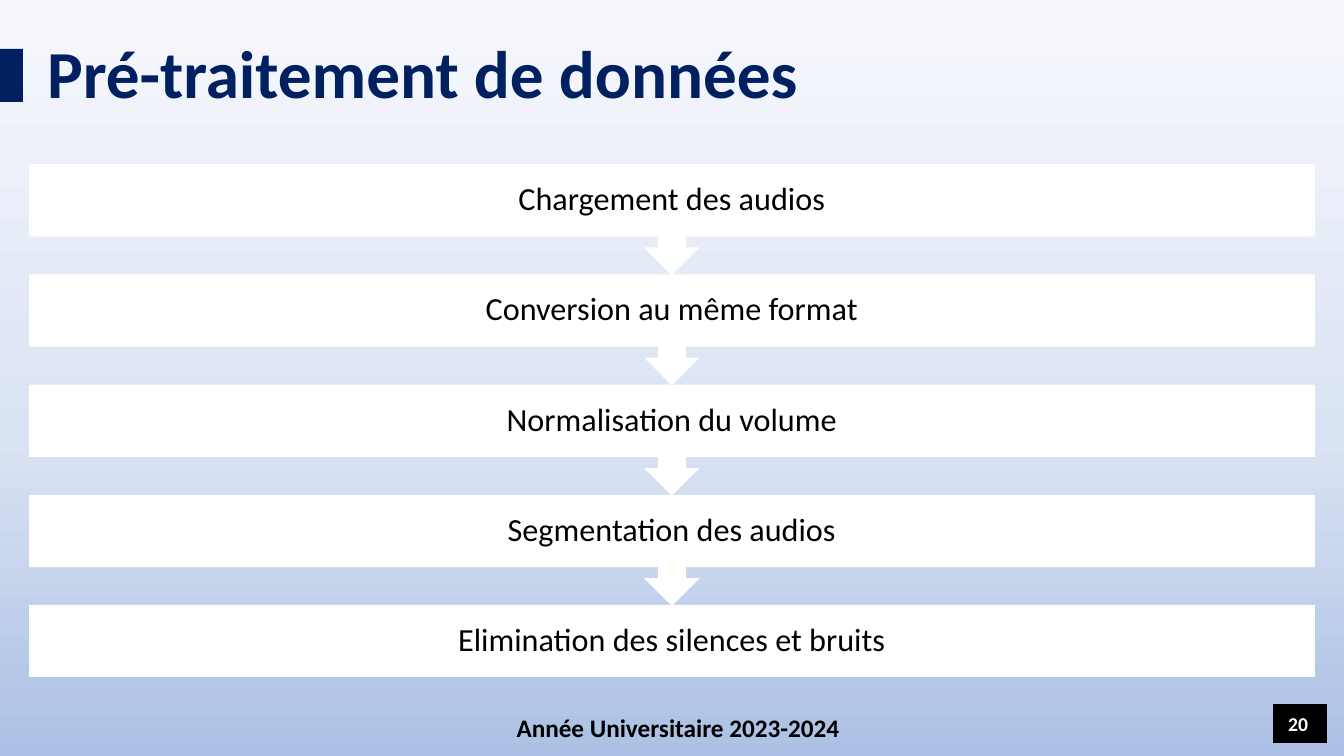
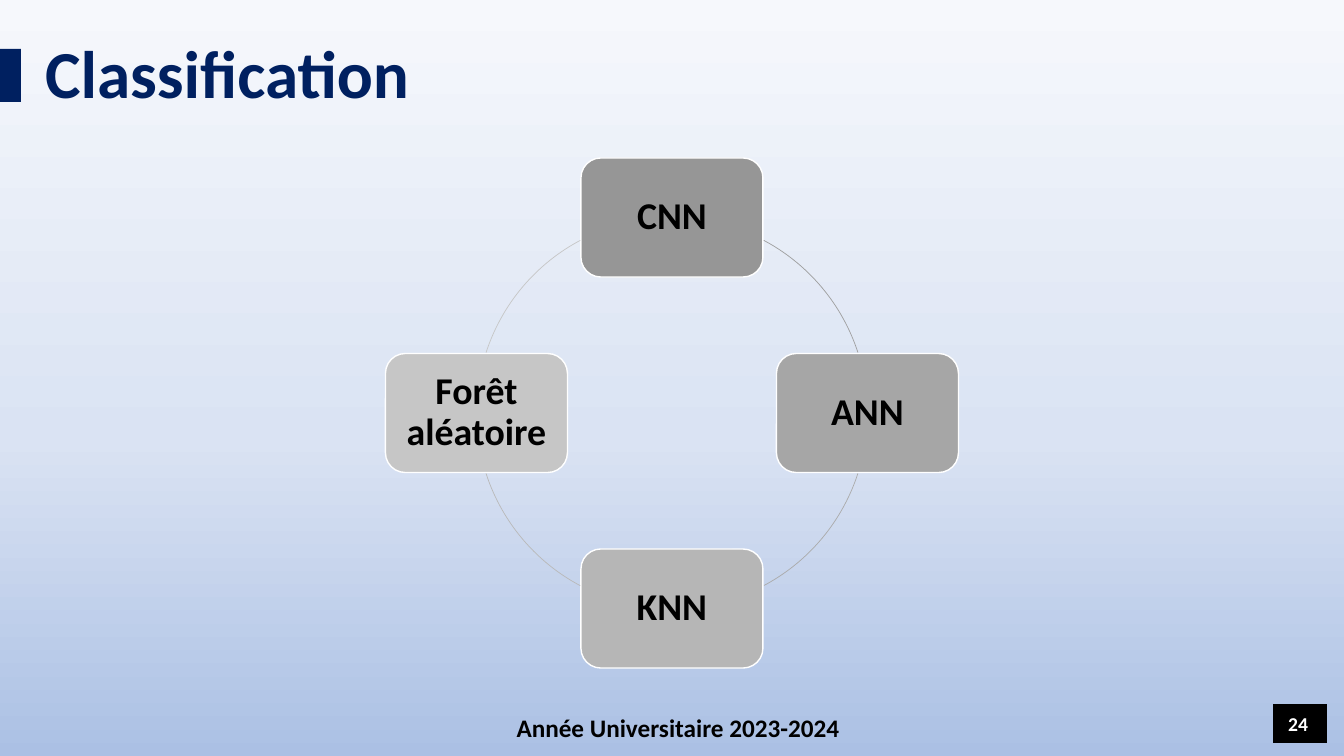
from copy import deepcopy
import math

from pptx import Presentation
from pptx import util as u
from pptx.dml.color import RGBColor
from pptx.enum import shapes, text
from pptx.oxml import ns

EMU_PER_PX = 914400 / 100.8
FONT = "Calibri"
COLORS = {
    "navy": "002060", "black": "000000", "white": "FFFFFF",
    "sky_top": "F6F8FC", "sky_middle": "DAE3F3", "sky_bottom": "ABC0E4",
}
FOOTER = "Année Universitaire 2023-2024"
STEPS = ["Chargement des audios", "Conversion au même format", "Normalisation du volume",
         "Segmentation des audios", "Elimination des silences et bruits"]
# Model name, box fill, colour of the arc that leaves the box clockwise
MODELS = [("CNN", "969696", "9E9E9E"), ("ANN", "A6A6A6", "ABABAB"),
          ("KNN", "B6B6B6", "B9B9B9"), ("Forêt aléatoire", "C6C6C6", "C6C6C6")]


def px(length):
    return u.Emu(round(length * EMU_PER_PX))


def rgb(color):
    return RGBColor.from_string(COLORS.get(color, color))


def write(shape, words, size, color="black", bold=False, align=text.PP_ALIGN.CENTER,
          anchor=text.MSO_ANCHOR.MIDDLE, spacing=1.0, insets=(10, 5, 10, 5)):
    """Fill a shape with one paragraph; insets are left, top, right, bottom in px."""
    frame = shape.text_frame
    frame.word_wrap = True
    frame.auto_size = text.MSO_AUTO_SIZE.NONE
    frame.vertical_anchor = anchor
    frame.margin_left, frame.margin_top, frame.margin_right, frame.margin_bottom = map(px, insets)
    paragraph = frame.paragraphs[0]
    paragraph.alignment = align
    paragraph.line_spacing = spacing
    run = paragraph.add_run()
    run.text = words
    run.font.name = FONT
    run.font.size = u.Pt(size)
    run.font.bold = bold
    run.font.color.rgb = rgb(color)


def add_shape(slide, kind, box, fill=None, line=None, line_width=1):
    shape = slide.shapes.add_shape(kind, *map(px, box))
    shape.shadow.inherit = False
    if fill:
        shape.fill.solid()
        shape.fill.fore_color.rgb = rgb(fill)
    else:
        shape.fill.background()
    if line:
        shape.line.color.rgb = rgb(line)
        shape.line.width = u.Pt(line_width)
    else:
        shape.line.fill.background()
    return shape


def paint_background(master):
    fill = master.background.fill
    fill.gradient()
    fill.gradient_angle = 270
    stop_list = master.element.find(".//" + ns.qn("a:gsLst"))
    stop_list.insert(1, deepcopy(stop_list[0]))
    stops = [(0, "sky_top"), (0.58, "sky_middle"), (1, "sky_bottom")]
    for stop, (position, color) in zip(fill.gradient_stops, stops):
        stop.position = position
        stop.color.rgb = rgb(color)


def add_base_slide(presentation, title, number, accent_width):
    """Add a slide with its accent bar, title, footer and page number."""
    slide = presentation.slides.add_slide(presentation.slide_layouts[5])
    add_shape(slide, shapes.MSO_SHAPE.RECTANGLE, (0, 49, accent_width, 53), "navy")
    heading = slide.shapes.title
    heading.left, heading.top, heading.width, heading.height = map(
        px, (accent_width + 6, 26, 814, 92))
    write(heading, title, 48, "navy", bold=True, align=text.PP_ALIGN.LEFT,
          anchor=text.MSO_ANCHOR.TOP, insets=(18, 5, 10, 5))
    footer = slide.shapes.add_textbox(*map(px, (342, 707, 672, 40)))
    write(footer, FOOTER, 18, bold=True)
    badge = add_shape(slide, shapes.MSO_SHAPE.RECTANGLE, (1273, 704, 54, 39), "black")
    write(badge, str(number), 14, "white", bold=True, align=text.PP_ALIGN.RIGHT,
          insets=(0, 5, 19, 5))
    return slide


def add_step_flow(slide, box, steps, last_height=72):
    """Stack steps from top to bottom, each but the last pointing to the next."""
    left, top, width, height = box
    pitch = (height - last_height) / (len(steps) - 1)
    for index, step in enumerate(steps):
        is_last = index == len(steps) - 1
        kind = shapes.MSO_SHAPE.RECTANGLE if is_last else shapes.MSO_SHAPE.DOWN_ARROW_CALLOUT
        step_height = last_height if is_last else pitch + 1
        shape = add_shape(slide, kind, (left, top + index * pitch, width, step_height), "white")
        write(shape, step, 23, spacing=0.9, insets=(18, 0, 18, 0))


def add_model_ring(slide, box, models, node_width=182, node_height=119):
    """Set models clockwise from the top of a ring, joined by arcs."""
    left, top, width, height = box
    center_x, center_y = left + width / 2, top + height / 2
    radius = (height - node_height) / 2
    turn = 360 / len(models)
    clearances = (28, 18)  # degrees hidden by a top or bottom node, and by a side node
    for index, (name, fill, arc_color) in enumerate(models):
        angle = index * turn - 90
        x = center_x + radius * math.cos(math.radians(angle))
        y = center_y + radius * math.sin(math.radians(angle))
        node = add_shape(slide, shapes.MSO_SHAPE.ROUNDED_RECTANGLE,
                         (x - node_width / 2, y - node_height / 2, node_width, node_height),
                         fill, "white")
        # The rounded corners already inset the text area
        write(node, name, 27, bold=True, spacing=0.9, insets=(6, 6, 6, 6))
        arc = add_shape(slide, shapes.MSO_SHAPE.ARC,
                        (center_x - radius, center_y - radius, 2 * radius, 2 * radius),
                        line=arc_color, line_width=0.5)
        ends = (angle + clearances[index % 2], angle + turn - clearances[(index + 1) % 2])
        for position, end in enumerate(ends):
            arc.adjustments[position] = end % 360 * 0.6  # 60000ths of a degree, over 100000


def main():
    presentation = Presentation()
    presentation.slide_width, presentation.slide_height = px(1344), px(756)
    paint_background(presentation.slide_master)
    preprocessing = add_base_slide(presentation, "Pré-traitement de données", 20, 23)
    add_step_flow(preprocessing, (29, 164, 1286, 513), STEPS)
    classification = add_base_slide(presentation, "Classification", 24, 21)
    add_model_ring(classification, (386, 158, 572, 510), MODELS)
    presentation.save("out.pptx")


if __name__ == "__main__":
    main()
